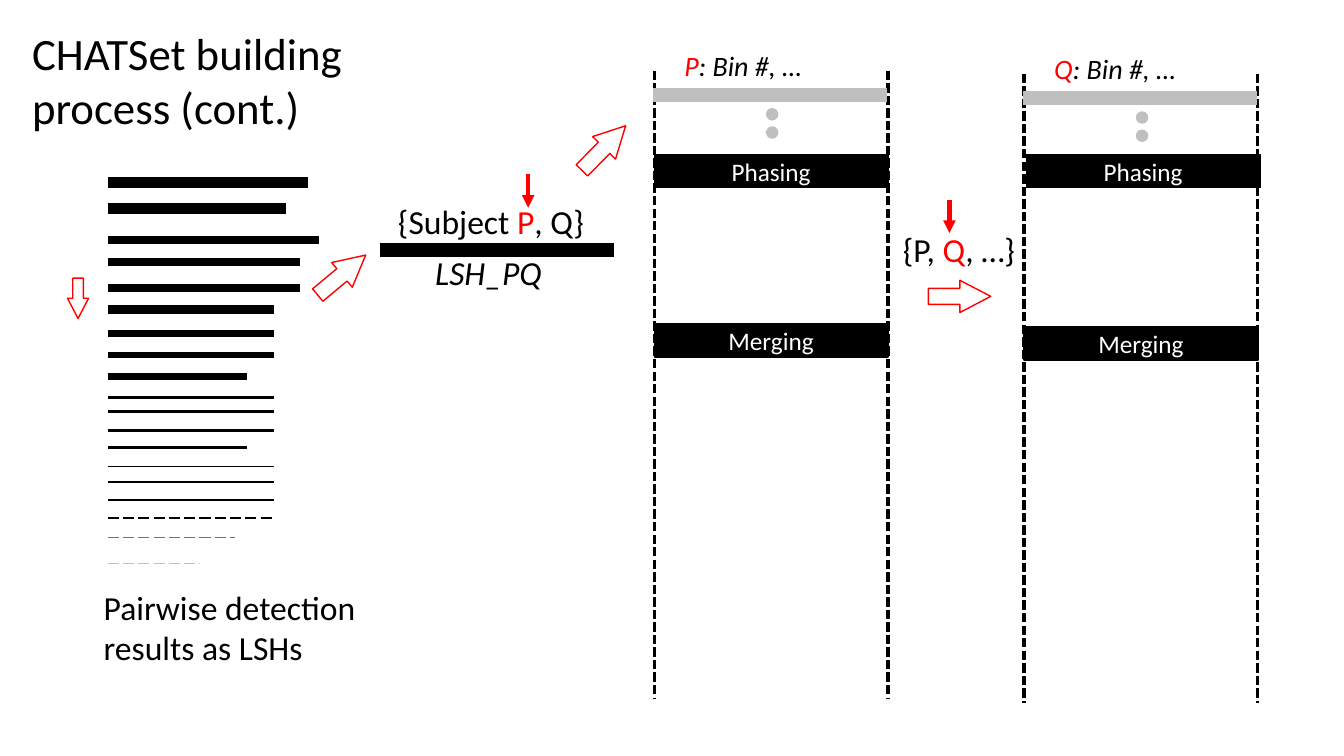
from lxml.etree import SubElement
from pptx import Presentation
from pptx.dml.color import RGBColor
from pptx.enum.dml import MSO_LINE
from pptx.enum.shapes import MSO_CONNECTOR, MSO_SHAPE
from pptx.enum.text import MSO_ANCHOR, MSO_AUTO_SIZE, PP_ALIGN
from pptx.oxml.ns import qn
from pptx.util import Pt

COLORS = {"black": "000000", "red": "FF0000", "white": "FFFFFF",
          "silver": "BFBFBF", "gray": "767171"}
FONT = "Calibri"

# Free text: spans of (text, color), box, format
LABELS = [
    ([("CHATSet building process (cont.)", "black")], (15.8, 15.1, 265.7, 85), dict(size=32)),
    ([("Pairwise detection results as LSHs", "black")], (67, 415.4, 203.8, 65.5), dict(size=24)),
    ([("LSH_PQ", "black")], (303.8, 176.4, 109.4, 36), dict(size=24, italic=True)),
    ([("{Subject ", "black"), ("P", "red"), (", Q}", "black")],
     (277.2, 139.7, 150.5, 36), dict(size=24)),
    ([("{P, ", "black"), ("Q", "red"), (", …}", "black")],
     (637.9, 159.8, 103, 36), dict(size=24)),
]

# Detection results: y, right end, width, color, dashed
RESULT_LEFT = 77
RESULTS = [
    (130.3, 220.3, 8, "black", False), (149, 204.5, 8, "black", False),
    (171.4, 228.2, 6, "black", False), (187.2, 214.6, 6, "black", False),
    (205.9, 214.6, 6, "black", False), (221, 195.8, 6, "black", False),
    (238.3, 195.8, 4.5, "black", False), (253.4, 195.8, 4.5, "black", False),
    (268.9, 176.4, 4.5, "black", False), (283.7, 195.8, 2.25, "black", False),
    (293.8, 195.8, 2.25, "black", False), (307.4, 195.8, 2.25, "black", False),
    (319.7, 176.4, 2.25, "black", False), (333.4, 195.8, 1, "black", False),
    (344.2, 195.8, 1, "black", False), (357.1, 195.8, 1, "black", False),
    (370.1, 195.8, 1, "black", True), (383.8, 167.8, 1, "gray", True),
    (402.5, 142.6, 1, "silver", True),
]

# Bin columns: subject, left, top, then the left and top of each step
COLUMNS = [
    ("P", 467.3, 50.4, [("Phasing", 467.3, 110.2), ("Merging", 467.3, 231.1)]),
    ("Q", 731.5, 52.7, [("Phasing", 733, 110.2), ("Merging", 731.5, 233.3)]),
]
COLUMN_WIDTH, COLUMN_HEIGHT, STEP_HEIGHT = 167, 449.2, 23.8

# Outlined arrows: left, top, width, height, rotation
BLOCK_ARROWS = [
    (419.8, 83.5, 23, 44.6, 44.4), (673.9, 189.4, 23, 44.6, 90),
    (232.6, 174.2, 23, 44.6, 50.2), (48.2, 198.7, 15.1, 28.8, 180),
]
POINTERS = [(377.3, 124.6), (678.2, 142.6)]
POINTER_LENGTH = 23.8

deck = Presentation()
deck.slide_width, deck.slide_height = Pt(960), Pt(540)
page = deck.slides.add_slide(deck.slide_layouts[6])


def rgb(name):
    return RGBColor.from_string(COLORS[name])


def write(frame, spans, size, italic=False, align=PP_ALIGN.LEFT):
    para = frame.paragraphs[0]
    para.alignment = align
    for text, color in spans:
        span = para.add_run()
        span.text = text
        span.font.name, span.font.size = FONT, Pt(size)
        span.font.italic = italic
        span.font.color.rgb = rgb(color)


def add_label(spans, place, **style):
    frame = page.shapes.add_textbox(*map(Pt, place)).text_frame
    frame.word_wrap = True
    frame.auto_size = MSO_AUTO_SIZE.SHAPE_TO_FIT_TEXT
    write(frame, spans, **style)


def add_line(x1, y1, x2, y2, width, color="black", dash=None, arrow=False):
    line = page.shapes.add_connector(MSO_CONNECTOR.STRAIGHT, *map(Pt, (x1, y1, x2, y2)))
    line.line.width = Pt(width)
    line.line.color.rgb = rgb(color)
    if dash:
        line.line.dash_style = dash
    properties = line.element.spPr
    if arrow:
        SubElement(properties.find(qn("a:ln")), qn("a:tailEnd"), type="triangle")
    SubElement(properties, qn("a:effectLst"))


def add_figure(kind, place, outline, fill=None):
    shape = page.shapes.add_shape(kind, *map(Pt, place))
    shape.shadow.inherit = False
    shape.line.color.rgb = rgb(outline)
    shape.line.width = Pt(1)
    if fill:
        shape.fill.solid()
        shape.fill.fore_color.rgb = rgb(fill)
    else:
        shape.fill.background()
    return shape


# Bin columns
for subject, left, top, steps in COLUMNS:
    for x in (left, left + COLUMN_WIDTH):
        add_line(x, top, x, top + COLUMN_HEIGHT, 2.25, dash=MSO_LINE.SQUARE_DOT)
    add_label([(subject, "red"), (": Bin #, …", "black")],
              (left + 14.4, top - 19.4, 174.2, 31.7), size=20, italic=True)
    add_line(left - 0.7, top + 17.6, left + COLUMN_WIDTH - 0.7, top + 17.6, 10, "silver")
    for dot_top in (top + 27.3, top + 40.3):
        add_figure(MSO_SHAPE.OVAL, (left + 80.3, dot_top, 7.9, 7.9), "silver", "silver")
    for step, step_left, step_top in steps:
        bar = add_figure(MSO_SHAPE.RECTANGLE,
                         (step_left, step_top, COLUMN_WIDTH, STEP_HEIGHT), "black", "black")
        bar.text_frame.vertical_anchor = MSO_ANCHOR.MIDDLE
        write(bar.text_frame, [(step, "white")], size=18, align=PP_ALIGN.CENTER)

# Detection results
for y, right, width, color, dashed in RESULTS:
    add_line(RESULT_LEFT, y, right, y, width, color, MSO_LINE.LONG_DASH if dashed else None)

# Selected pair
add_line(271.4, 178.6, 438.5, 178.6, 10)

# Labels and arrows
for spans, place, style in LABELS:
    add_label(spans, place, **style)
for x, y in POINTERS:
    add_line(x, y, x, y + POINTER_LENGTH, 3, "red", arrow=True)
for *place, rotation in BLOCK_ARROWS:
    arrow = add_figure(MSO_SHAPE.UP_ARROW, place, "red")
    arrow.adjustments[0], arrow.adjustments[1] = 0.5, 0.96
    arrow.rotation = rotation

deck.save("out.pptx")
